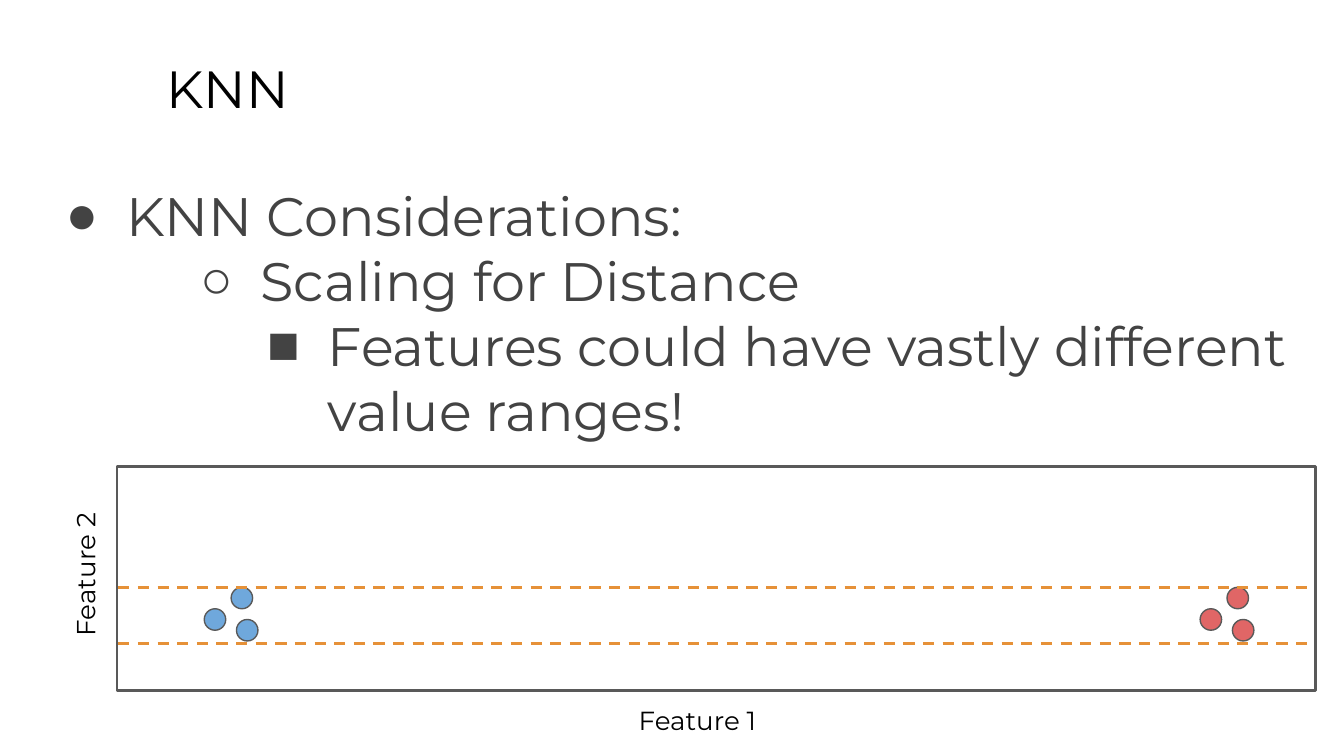
import pptx
import pptx.dml.color
import pptx.enum.dml
import pptx.enum.shapes
import pptx.enum.text
import pptx.oxml.ns
import pptx.util
from lxml import etree

Inches = pptx.util.Inches
Pt = pptx.util.Pt
SHAPE = pptx.enum.shapes.MSO_SHAPE
ALIGN = pptx.enum.text.PP_ALIGN

FONT = "Montserrat"
BLACK, TEXT, EDGE = "000000", "434343", "595959"
BLUE, RED, ORANGE = "6FA8DC", "E06666", "E69138"

# Bullet sign and left margin of each level
LEVELS = [("●", 0.5), ("○", 1.5), ("■", 2)]
POINTS = ["KNN Considerations:", "Scaling for Distance",
          "Features could have vastly different value ranges!"]
# Dot places within a cluster
DOTS = [(0, 0.16), (0.2, 0), (0.24, 0.24)]


def color(code):
    return pptx.dml.color.RGBColor.from_string(code)


def add_child(parent, tag, **attrs):
    return etree.SubElement(parent, pptx.oxml.ns.qn(tag), **attrs)


def add_run(para, text, size, code):
    run = para.add_run()
    run.text = text
    run.font.name = FONT
    run.font.size = Pt(size)
    run.font.color.rgb = color(code)


def add_box(slide, left, top, width, height):
    """Add an empty, wrapping text box with even margins."""
    box = slide.shapes.add_textbox(
        Inches(left), Inches(top), Inches(width), Inches(height))
    frame = box.text_frame
    frame.word_wrap = True
    frame.margin_left = frame.margin_right = Inches(0.1)
    frame.margin_top = frame.margin_bottom = Inches(0.1)
    return box


def add_label(slide, text, left, top, turn=0):
    box = add_box(slide, left, top, 1.46, 0.25)
    box.rotation = turn
    para = box.text_frame.paragraphs[0]
    para.alignment = ALIGN.CENTER
    add_run(para, text, 14, BLACK)


def set_bullet(para, level):
    sign, left = LEVELS[level]
    para.level = level
    props = para._p.get_or_add_pPr()
    props.set("marL", str(Inches(left)))
    props.set("indent", str(Inches(-0.45)))
    tint = add_child(props, "a:buClr")
    add_child(tint, "a:srgbClr", val=TEXT)
    add_child(props, "a:buFont", typeface="Arial")
    add_child(props, "a:buChar", char=sign)


def add_points(slide):
    frame = add_box(slide, 0.34, 1.26, 9.5, 3.74).text_frame
    for level, text in enumerate(POINTS):
        para = frame.add_paragraph() if level else frame.paragraphs[0]
        set_bullet(para, level)
        add_run(para, text, 29, TEXT)


def add_shape(slide, kind, left, top, width, height, weight, fill=None):
    shape = slide.shapes.add_shape(
        kind, Inches(left), Inches(top), Inches(width), Inches(height))
    shape.shadow.inherit = False
    if fill:
        shape.fill.solid()
        shape.fill.fore_color.rgb = color(fill)
    else:
        shape.fill.background()
    shape.line.color.rgb = color(EDGE)
    shape.line.width = Pt(weight)


def add_cluster(slide, left, top, fill):
    for right, down in DOTS:
        add_shape(slide, SHAPE.OVAL, left + right, top + down,
                  0.16, 0.16, 0.75, fill)


def add_dashes(slide, top):
    line = slide.shapes.add_connector(
        pptx.enum.shapes.MSO_CONNECTOR.STRAIGHT,
        Inches(0.88), Inches(top), Inches(9.76), Inches(top))
    line.line.color.rgb = color(ORANGE)
    line.line.width = Pt(1.5)
    line.line.dash_style = pptx.enum.dml.MSO_LINE.DASH
    add_child(line._element.spPr, "a:effectLst")


def main():
    deck = pptx.Presentation()
    deck.slide_width = Inches(10)
    deck.slide_height = Inches(10) * 9 // 16
    slide = deck.slides.add_slide(deck.slide_layouts[6])

    title = add_box(slide, 1.14, 0.32, 8.52, 0.63)
    add_run(title.text_frame.paragraphs[0], "KNN", 28, BLACK)
    add_points(slide)

    add_shape(slide, SHAPE.RECTANGLE, 0.87, 3.47, 8.92, 1.67, 1.5)
    add_cluster(slide, 1.52, 4.37, BLUE)
    add_label(slide, "Feature 1", 4.46, 5.14)
    add_label(slide, "Feature 2", -0.19, 4.15, 270)
    add_cluster(slide, 8.93, 4.37, RED)
    for top in (4.79, 4.37):
        add_dashes(slide, top)

    deck.save("out.pptx")


if __name__ == "__main__":
    main()
